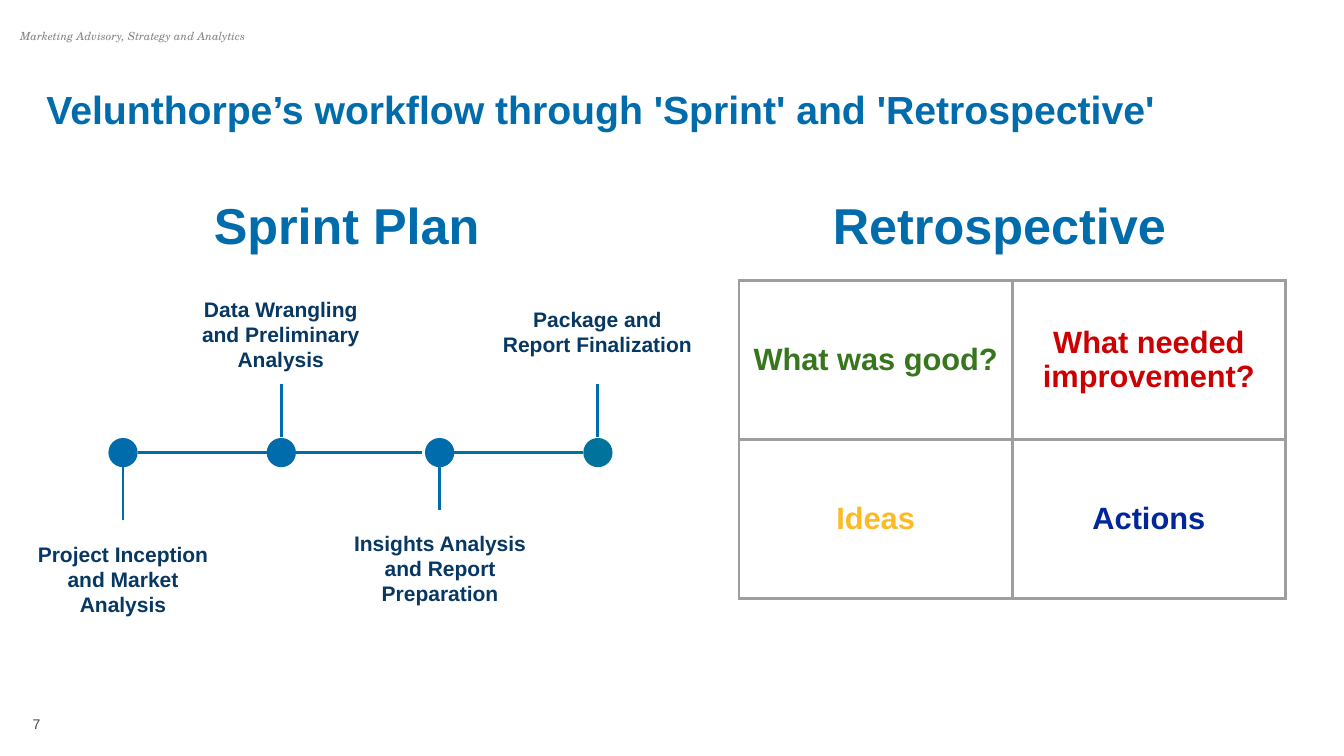
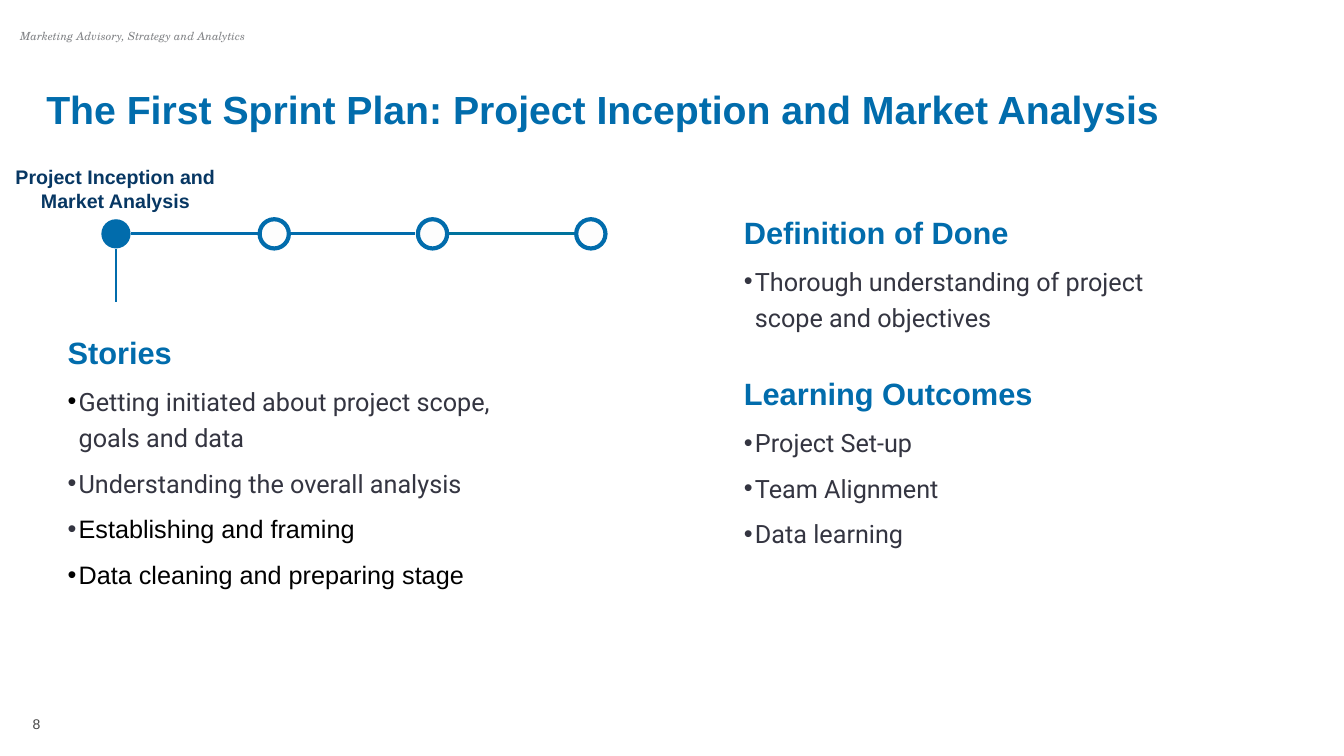
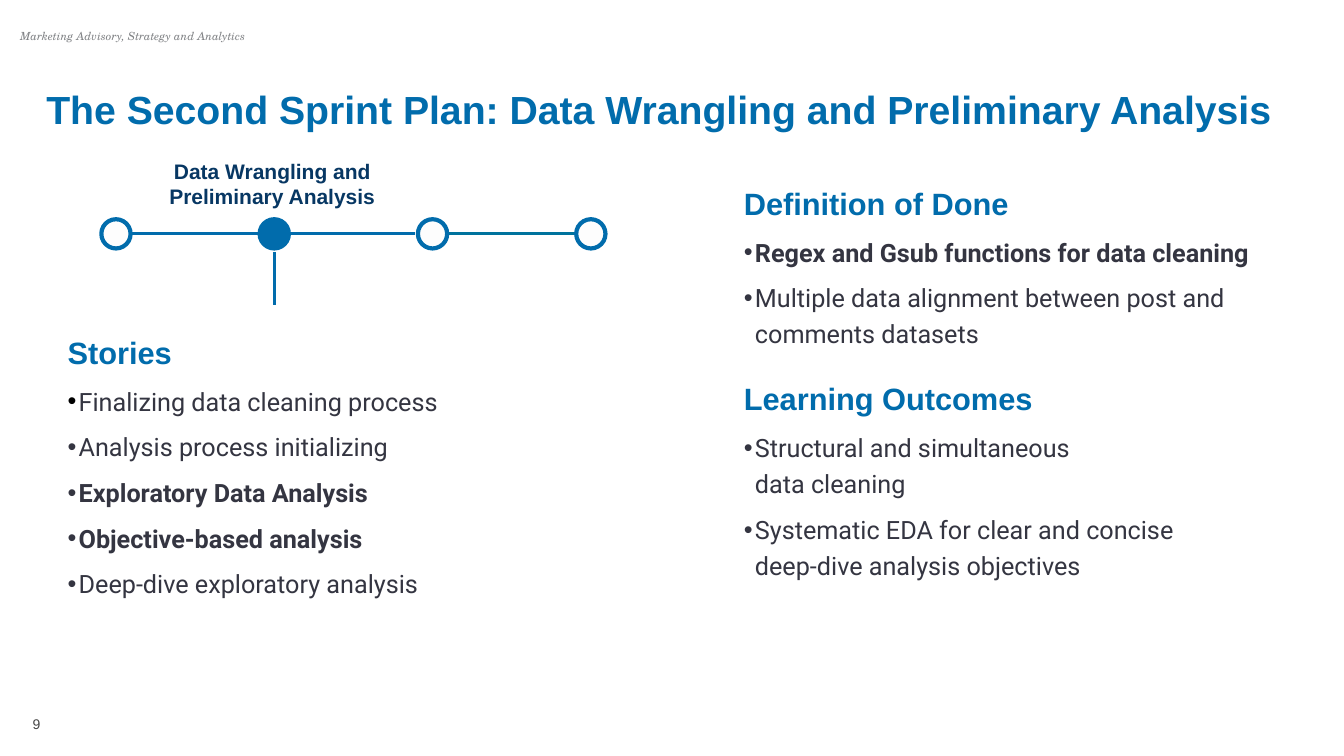
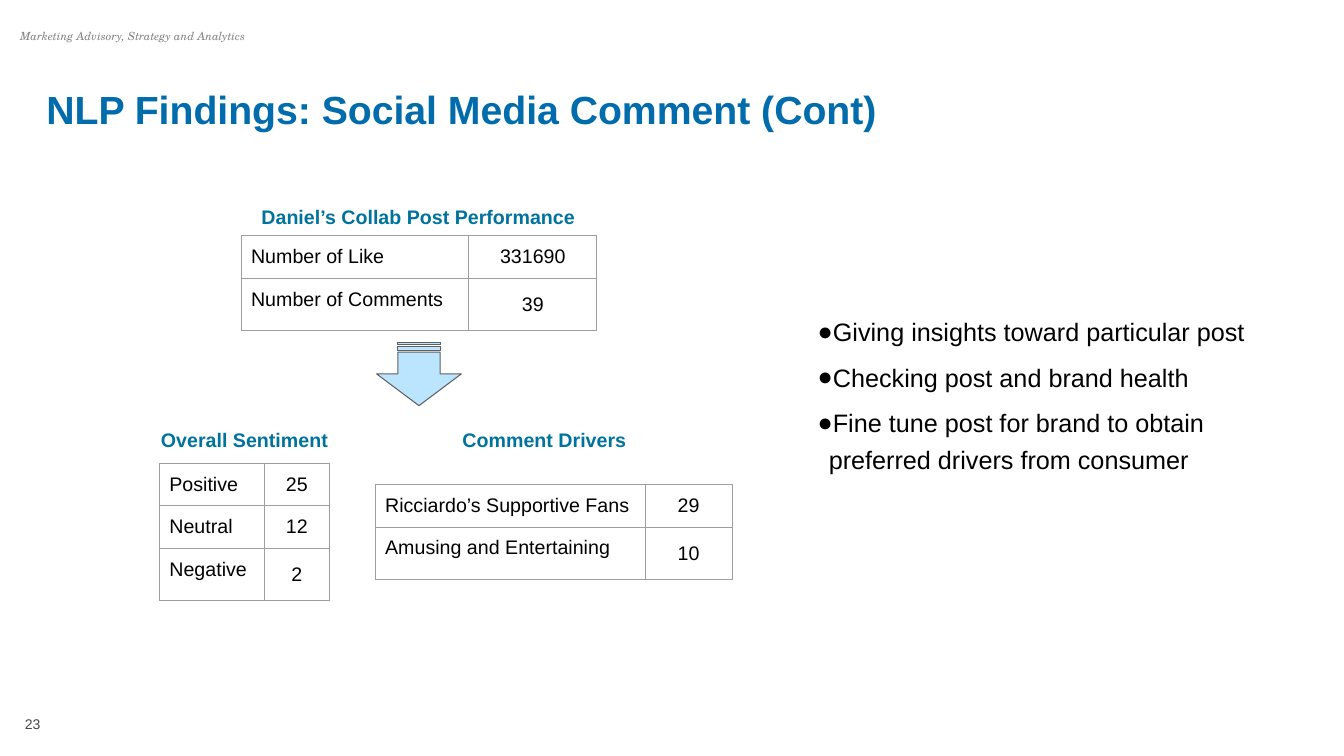
from copy import deepcopy

from lxml import etree
from pptx import Presentation
from pptx.dml.color import RGBColor
from pptx.enum.shapes import MSO_CONNECTOR, MSO_SHAPE
from pptx.enum.text import MSO_ANCHOR, MSO_AUTO_SIZE, PP_ALIGN
from pptx.oxml.ns import qn
from pptx.util import Inches, Pt

LEFT, CENTER, RIGHT = PP_ALIGN.LEFT, PP_ALIGN.CENTER, PP_ALIGN.RIGHT
TOP, MIDDLE = MSO_ANCHOR.TOP, MSO_ANCHOR.MIDDLE
NO_FIT = MSO_AUTO_SIZE.NONE
STRAIGHT = MSO_CONNECTOR.STRAIGHT
OVAL, ARROW = MSO_SHAPE.OVAL, MSO_SHAPE.STRIPED_RIGHT_ARROW

COLORS = {
    "blue": "016CAC", "teal": "00739D", "navy": "073763", "ink": "343541",
    "black": "000000", "white": "FDFDFD", "grey": "808285", "page": "464646",
    "border": "9E9E9E", "green": "38761D", "red": "CC0000", "yellow": "FDBA27",
    "royal": "00269A", "sky": "BBE5FF", "edge": "5E5E5E",
}
TITLE_ONLY, TITLE_AND_BODY = 5, 1
STEP = 1.57
NODE = 0.29
STEM = 0.53

HEADING = dict(size=22, color="blue", bold=True)
LABEL = dict(size=15, color="navy", bold=True, align=CENTER)
ITEM = dict(size=18, font="Roboto", color="ink", spacing=1.2, margin=0.11,
            indent=-0.17, bullet="•", bullet_color="ink")
CAPTION = dict(size=14, color="teal", bold=True, align=CENTER, spacing=1.15)


def rgb(name):
    return RGBColor.from_string(COLORS[name])


def write(tf, text, size=14, font="Arial", color="black", bold=False, italic=False,
          align=LEFT, spacing=1.0, before=0, margin=0, indent=0,
          bullet=None, bullet_color="black"):
    p = tf.paragraphs[0] if not tf.text else tf.add_paragraph()
    p.text = text
    p.alignment = align
    p.line_spacing = spacing
    p.space_before = Pt(before)
    p.space_after = Pt(0)
    pPr = p._p.get_or_add_pPr()
    pPr.set("marL", str(Inches(margin)))
    pPr.set("indent", str(Inches(indent)))
    if bullet:
        clr = etree.SubElement(pPr, qn("a:buClr"))
        etree.SubElement(clr, qn("a:srgbClr"), val=COLORS[bullet_color])
        etree.SubElement(pPr, qn("a:buFont"), typeface="Arial")
        etree.SubElement(pPr, qn("a:buChar"), char=bullet)
    else:
        etree.SubElement(pPr, qn("a:buNone"))
    for r in p.runs:
        r.font.size = Pt(size)
        r.font.name = font
        r.font.bold = bold
        r.font.italic = italic
        r.font.color.rgb = rgb(color)
    for br in p._p.findall(qn("a:br")):
        br.append(deepcopy(p.runs[0]._r.rPr))


def box(s, at, holder=None, inset=0.1, anchor=TOP):
    x, y, w, h = map(Inches, at)
    sp = holder or s.shapes.add_textbox(x, y, w, h)
    sp.left, sp.top, sp.width, sp.height = x, y, w, h
    tf = sp.text_frame
    tf.word_wrap = True
    tf.auto_size = NO_FIT
    tf.vertical_anchor = anchor
    tf.margin_left = tf.margin_right = tf.margin_top = tf.margin_bottom = Inches(inset)
    return tf


def new_slide(prs, layout, title, number):
    s = prs.slides.add_slide(prs.slide_layouts[layout])
    write(box(s, (0.36, 0.75, 12.93, 0.64), s.shapes.title), title,
          size=28, color="blue", bold=True)
    write(box(s, (0.07, 0.14, 2.51, 0.41), inset=0.13, anchor=MIDDLE),
          "Marketing Advisory, Strategy and Analytics",
          size=8, font="TeX Gyre Schola", color="grey", italic=True, spacing=1.15)
    write(box(s, (0.07, 6.96, 0.46, 0.44), inset=0.13, anchor=MIDDLE), str(number),
          size=10, color="page", align=RIGHT)
    return s


def line(s, x1, y1, x2, y2, color="blue"):
    c = s.shapes.add_connector(STRAIGHT, *map(Inches, (x1, y1, x2, y2)))
    c.line.color.rgb = rgb(color)
    c.line.width = Pt(2)
    etree.SubElement(c._element.spPr, qn("a:effectLst"))


def shape(s, kind, at, fill, outline=None, width=0):
    sp = s.shapes.add_shape(kind, *map(Inches, at))
    sp.shadow.inherit = False
    sp.fill.solid()
    sp.fill.fore_color.rgb = rgb(fill)
    if outline:
        sp.line.color.rgb = rgb(outline)
        sp.line.width = Pt(width)
    else:
        sp.line.fill.background()
    return sp


def timeline(s, x, y, nodes):
    line(s, x + 0.15, y, x + 2.97, y)
    line(s, x + 3.17, y, x + 4.56, y, "teal")
    for i, (fill, outline) in enumerate(nodes):
        left = x + i * STEP - NODE / 2
        shape(s, OVAL, (left, y - NODE / 2, NODE, NODE), fill, outline, 3)


def section(s, at, heading, items, holder=None):
    tf = box(s, at, holder)
    write(tf, heading, **HEADING)
    for text, changes in items:
        write(tf, text, **{**ITEM, "before": 6.7, **changes})


def border(cell, width):
    tcPr = cell._tc.get_or_add_tcPr()
    for side in ("lnL", "lnR", "lnT", "lnB"):
        ln = etree.SubElement(tcPr, qn("a:" + side), w=str(Pt(width)))
        fill = etree.SubElement(ln, qn("a:solidFill"))
        etree.SubElement(fill, qn("a:srgbClr"), val=COLORS["border"])


def table(s, x, y, cols, rows, cells, width=0.75):
    frame = s.shapes.add_table(len(rows), len(cols), Inches(x), Inches(y),
                               Inches(sum(cols)), Inches(sum(rows)))
    t = frame.table
    t.first_row = t.horz_banding = False
    for col, w in zip(t.columns, cols):
        col.width = Inches(w)
    for row, h, values in zip(t.rows, rows, cells):
        row.height = Inches(h)
        for cell, (text, anchor, style) in zip(row.cells, values):
            cell.margin_left = cell.margin_right = Inches(0.1)
            cell.margin_top = cell.margin_bottom = Inches(0.1)
            cell.vertical_anchor = anchor
            border(cell, width)
            cell.fill.background()
            write(cell.text_frame, text, **style)


def count_table(s, x, y, cols, counts):
    rows = [0.4] * (len(counts) - 1) + [0.52]
    cells = [[(name, TOP, {}), (str(n), MIDDLE, dict(align=CENTER))]
             for name, n in counts]
    table(s, x, y, cols, rows, cells)


def workflow_slide(prs):
    s = new_slide(prs, TITLE_ONLY,
                  "Velunthorpe’s workflow through 'Sprint' and 'Retrospective'", 7)
    for x, text, align in ((1.37, "Sprint Plan", CENTER), (8.02, "Retrospective", LEFT)):
        write(box(s, (x, 1.68, 4.03, 0.98), inset=0.13), text, size=36, color="blue",
              bold=True, align=align, spacing=1.2, margin=0.11)
    x, y = 1.22, 4.49
    timeline(s, x, y, [("blue", None)] * 3 + [("teal", None)])
    for i, top in enumerate((4.63, 3.81, 4.53, 3.81)):
        line(s, x + i * STEP, top, x + i * STEP, top + STEM)
    for at, text in (
        ((0.26, 5.27, 1.92, 0.92), "Project Inception and Market Analysis"),
        ((1.73, 2.84, 2.11, 0.87), "Data Wrangling and Preliminary Analysis"),
        ((3.36, 5.16, 2.01, 0.87), "Insights Analysis and Report Preparation"),
        ((4.87, 2.94, 2.11, 0.87), "Package and Report Finalization"),
    ):
        write(box(s, at), text, **LABEL)
    quadrants = ((("What was good?", "green"), ("What needed improvement?", "red")),
                 (("Ideas", "yellow"), ("Actions", "royal")))
    cells = [[(text, MIDDLE, {**HEADING, "color": color, "align": CENTER})
              for text, color in row] for row in quadrants]
    table(s, 7.33, 2.78, [2.71] * 2, [1.58] * 2, cells, 2.25)


def sprint_slide(prs, title, number, nodes, stem, label, sections):
    s = new_slide(prs, TITLE_AND_BODY, title, number)
    x = 1.15
    timeline(s, x, 2.32, nodes)
    i, top = stem
    line(s, x + i * STEP, top, x + i * STEP, top + STEM)
    at, text, size = label
    write(box(s, at), text, **{**LABEL, "size": size})
    holders = (s.placeholders[1], None, None)
    headings = ("Stories", "Definition of Done", "Learning Outcomes")
    for holder, heading, (place, items) in zip(holders, headings, sections):
        section(s, place, heading, items, holder)


def findings_slide(prs):
    s = new_slide(prs, TITLE_AND_BODY, "NLP Findings: Social Media Comment (Cont)", 23)
    tf = box(s, (7.98, 2.95, 4.95, 1.98), s.placeholders[1], inset=0.13)
    for i, text in enumerate((
        "Giving insights toward particular post",
        "Checking post and brand health",
        "Fine tune post for brand to obtain preferred drivers from consumer",
    )):
        write(tf, text, **{**ITEM, "font": "Arial", "color": "black", "bullet": "●",
                           "bullet_color": "black", "before": 6.7 if i else 0})
    for at, text in (
        ((2.17, 1.9, 3.96, 0.44), "Daniel’s Collab Post Performance"),
        ((1.47, 4.11, 1.91, 0.44), "Overall Sentiment"),
        ((3.42, 4.11, 3.96, 0.44), "Comment Drivers"),
    ):
        write(box(s, at), text, **CAPTION)
    count_table(s, 2.39, 2.34, (2.26, 1.27),
                (("Number of Like", 331690), ("Number of Comments", 39)))
    count_table(s, 1.58, 4.6, (1.04, 0.65),
                (("Positive", 25), ("Neutral", 12), ("Negative", 2)))
    count_table(s, 3.72, 4.81, (2.68, 0.86),
                (("Ricciardo’s Supportive Fans", 29), ("Amusing and Entertaining", 10)))
    arrow = shape(s, ARROW, (3.84, 3.29, 0.63, 0.84), "sky", "edge", 0.75)
    arrow.rotation = 90


def main():
    prs = Presentation()
    prs.slide_width, prs.slide_height = Inches(13.33), Inches(7.5)
    plain, strong = {}, dict(bold=True)
    dark_bullet = dict(bullet_color="black")
    arial = dict(font="Arial", color="black")
    hollow, done = ("white", "blue"), ("blue", "blue")

    workflow_slide(prs)
    sprint_slide(
        prs, "The First Sprint Plan: Project Inception and Market Analysis", 8,
        [("blue", None), hollow, hollow, hollow], (0, 2.47),
        ((-0.22, 1.54, 2.73, 0.64), "Project Inception and Market Analysis", 14),
        (((0.57, 3.21, 6.3, 2.7), (
            ("Getting initiated about project scope,\vgoals and data", dark_bullet),
            ("Understanding the overall analysis", plain),
            ("Establishing and framing", arial),
            ("Data cleaning and preparing stage", {**arial, **dark_bullet}))),
         ((7.28, 2.02, 4.73, 1.33), (
             ("Thorough understanding of project scope and objectives", plain),)),
         ((7.28, 3.62, 4.73, 1.88), (
             ("Project Set-up", plain),
             ("Team Alignment", plain),
             ("Data learning", plain)))))
    sprint_slide(
        prs, "The Second Sprint Plan: Data Wrangling and Preliminary Analysis", 9,
        [hollow, done, hollow, hollow], (1, 2.5),
        ((1.34, 1.47, 2.72, 0.64), "Data Wrangling and Preliminary Analysis", 15),
        (((0.57, 3.21, 6.3, 2.8), (
            ("Finalizing data cleaning process", dark_bullet),
            ("Analysis process initializing", plain),
            ("Exploratory Data Analysis", strong),
            ("Objective-based analysis", strong),
            ("Deep-dive exploratory analysis", plain))),
         ((7.28, 1.73, 5.53, 1.79), (
             ("Regex and Gsub functions for data cleaning", strong),
             ("Multiple data alignment between post and comments datasets", plain))),
         ((7.28, 3.67, 4.73, 2.15), (
             ("Structural and simultaneous\vdata cleaning", plain),
             ("Systematic EDA for clear and concise deep-dive analysis objectives",
              plain)))))
    findings_slide(prs)
    prs.save("out.pptx")


if __name__ == "__main__":
    main()
